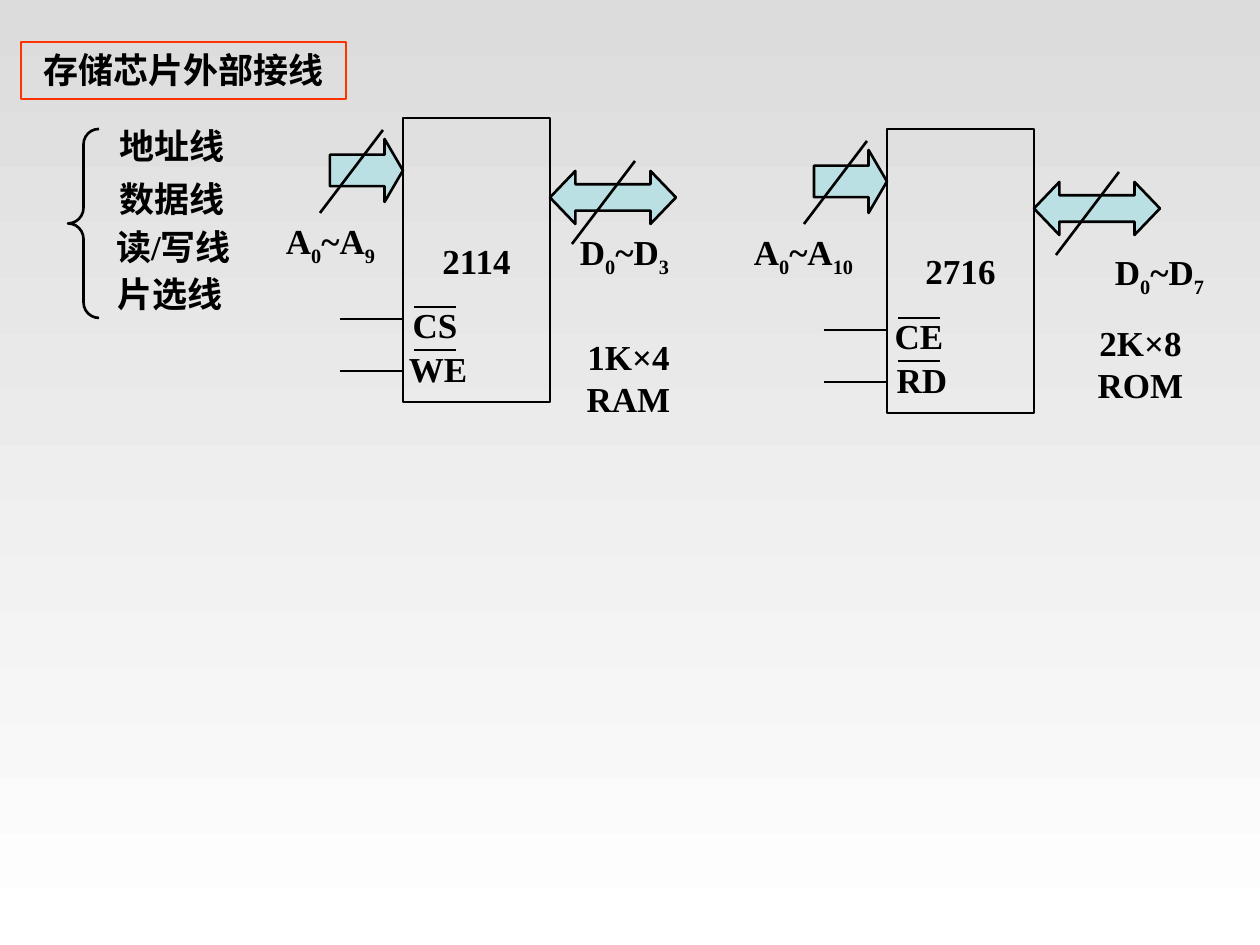
import pptx
import pptx.dml.color
import pptx.enum.shapes
import pptx.enum.text
import pptx.oxml
import pptx.util

PX = 914400 / 126
BLACK = pptx.dml.color.RGBColor(0, 0, 0)
RED = pptx.dml.color.RGBColor(0xFF, 0x33, 0x00)
TEAL = pptx.dml.color.RGBColor(0xBB, 0xE0, 0xE3)
GREY = pptx.dml.color.RGBColor(0xDC, 0xDC, 0xDC)
WHITE = pptx.dml.color.RGBColor(0xFF, 0xFF, 0xFF)
FONT = {"name": "Times New Roman", "size": pptx.util.Pt(20), "bold": True}
LINE_WIDTH = pptx.util.Pt(1.5)
SHAPE = pptx.enum.shapes.MSO_SHAPE
AUTO_SIZE = pptx.enum.text.MSO_AUTO_SIZE

TITLE = ("存储芯片外部接线", (21, 42, 325, 57))
WIRES = [
    ("地址线", (78, 118)),
    ("数据线", (78, 171)),
    ("读/写线", (79, 219)),
    ("片选线", (76, 266)),
]
BRACE_BOX = (68, 129, 31, 189)
WIRE_SIZE = (189, 54)

# Label positions are offsets from the chip's top left corner.
CHIPS = [
    {
        "name": "2114", "origin": (403, 118),
        "address": ("9", (-146, 95)), "data": ("3", (148, 106)),
        "pins": ["CS", "WE"], "capacity": ("1K×4\vRAM", (126, 211)),
    },
    {
        "name": "2716", "origin": (887, 129),
        "address": ("10", (-157, 95)), "data": ("7", (199, 115)),
        "pins": ["CE", "RD"], "capacity": ("2K×8\vROM", (154, 186)),
    },
]
CHIP_SIZE = (147, 284)
BUS_LABEL_SIZE = (147, 54)
PIN_LABEL_SIZE = (84, 54)
CAPACITY_SIZE = (199, 97)
BUSES = [
    (SHAPE.RIGHT_ARROW, (-73, 21, 73, 63), (0.5, 0.292)),
    (SHAPE.LEFT_RIGHT_ARROW, (147, 53, 126, 53), (0.5, 0.48)),
]
SLASHES = [(-20, 12, -83, 95), (232, 43, 169, 126)]
PIN_LABELS = [(-10, 179), (-7, 223)]
PIN_LINES = [(-63, 201, 0, 201), (-63, 253, 0, 253)]
PIN_BARS = [(11, 189, 53, 189), (11, 232, 53, 232)]


def emu(lengths):
    return [round(length * PX) for length in lengths]


def shifted(origin, offset):
    """Add the origin to every x, y pair of the offset."""
    return tuple(value + origin[i % 2] for i, value in enumerate(offset))


def write_text(shape, runs, auto_size=AUTO_SIZE.SHAPE_TO_FIT_TEXT,
               wrap=True, anchor=pptx.enum.text.MSO_ANCHOR.TOP):
    """Write runs of (text, is_subscript) as one centred paragraph."""
    frame = shape.text_frame
    settings = {"word_wrap": wrap, "auto_size": auto_size, "vertical_anchor": anchor}
    for key, value in settings.items():
        setattr(frame, key, value)
    paragraph = frame.paragraphs[0]
    paragraph.alignment = pptx.enum.text.PP_ALIGN.CENTER
    for text, is_subscript in runs:
        for i, part in enumerate(text.split("\v")):
            if i:
                paragraph.add_line_break()
            run = paragraph.add_run()
            run.text = part
            for key, value in FONT.items():
                setattr(run.font, key, value)
            run.font.color.rgb = BLACK
            if is_subscript:
                run.font._element.set("baseline", "-25000")


def add_label(shapes, runs, position, size):
    write_text(shapes.add_textbox(*emu(position + size)), runs)


def add_outline(shapes, kind, box, color=BLACK, fill=None, adjustments=()):
    shape = shapes.add_shape(kind, *emu(box))
    shape.shadow.inherit = False
    if fill is None:
        shape.fill.background()
    else:
        shape.fill.solid()
        shape.fill.fore_color.rgb = fill
    shape.line.color.rgb = color
    shape.line.width = LINE_WIDTH
    for i, value in enumerate(adjustments):
        shape.adjustments[i] = value
    return shape


def add_line(shapes, ends):
    line = shapes.add_connector(pptx.enum.shapes.MSO_CONNECTOR.STRAIGHT, *emu(ends))
    line.line.color.rgb = BLACK
    line.line.width = LINE_WIDTH
    line._element.spPr.append(pptx.oxml.parse_xml(
        '<a:effectLst xmlns:a="http://schemas.openxmlformats.org/drawingml/2006/main"/>'))


def bus_runs(letter, last):
    return [(letter, False), ("0", True), ("~" + letter, False), (last, True)]


def add_chip(slide, chip):
    origin = chip["origin"]
    shapes = slide.shapes.add_group_shape().shapes
    body = add_outline(shapes, SHAPE.RECTANGLE, origin + CHIP_SIZE)
    write_text(body, [(chip["name"], False)], AUTO_SIZE.NONE, False,
               pptx.enum.text.MSO_ANCHOR.MIDDLE)
    for kind, box, adjustments in BUSES:
        place = shifted(origin, box[:2]) + box[2:]
        add_outline(shapes, kind, place, BLACK, TEAL, adjustments)
    for ends in SLASHES + PIN_LINES + PIN_BARS:
        add_line(shapes, shifted(origin, ends))
    for letter, key in (("A", "address"), ("D", "data")):
        last, offset = chip[key]
        add_label(shapes, bus_runs(letter, last), shifted(origin, offset), BUS_LABEL_SIZE)
    for pin, offset in zip(chip["pins"], PIN_LABELS):
        add_label(shapes, [(pin, False)], shifted(origin, offset), PIN_LABEL_SIZE)
    capacity, offset = chip["capacity"]
    add_label(slide.shapes, [(capacity, False)], shifted(origin, offset), CAPACITY_SIZE)


def main():
    presentation = pptx.Presentation()
    presentation.slide_width, presentation.slide_height = emu((1260, 945))
    slide = presentation.slides.add_slide(presentation.slide_layouts[6])

    background = slide.background.fill
    background.gradient()
    background.gradient_angle = 270
    for stop, color, position in zip(background.gradient_stops, (GREY, WHITE), (0, 1)):
        stop.color.rgb = color
        stop.position = position

    title, box = TITLE
    write_text(add_outline(slide.shapes, SHAPE.RECTANGLE, box, RED), [(title, False)])
    for wire, position in WIRES:
        add_label(slide.shapes, [(wire, False)], position, WIRE_SIZE)
    add_outline(slide.shapes, SHAPE.LEFT_BRACE, BRACE_BOX, adjustments=(0.5, 0.5))
    for chip in CHIPS:
        add_chip(slide, chip)
    presentation.save("out.pptx")


if __name__ == "__main__":
    main()
